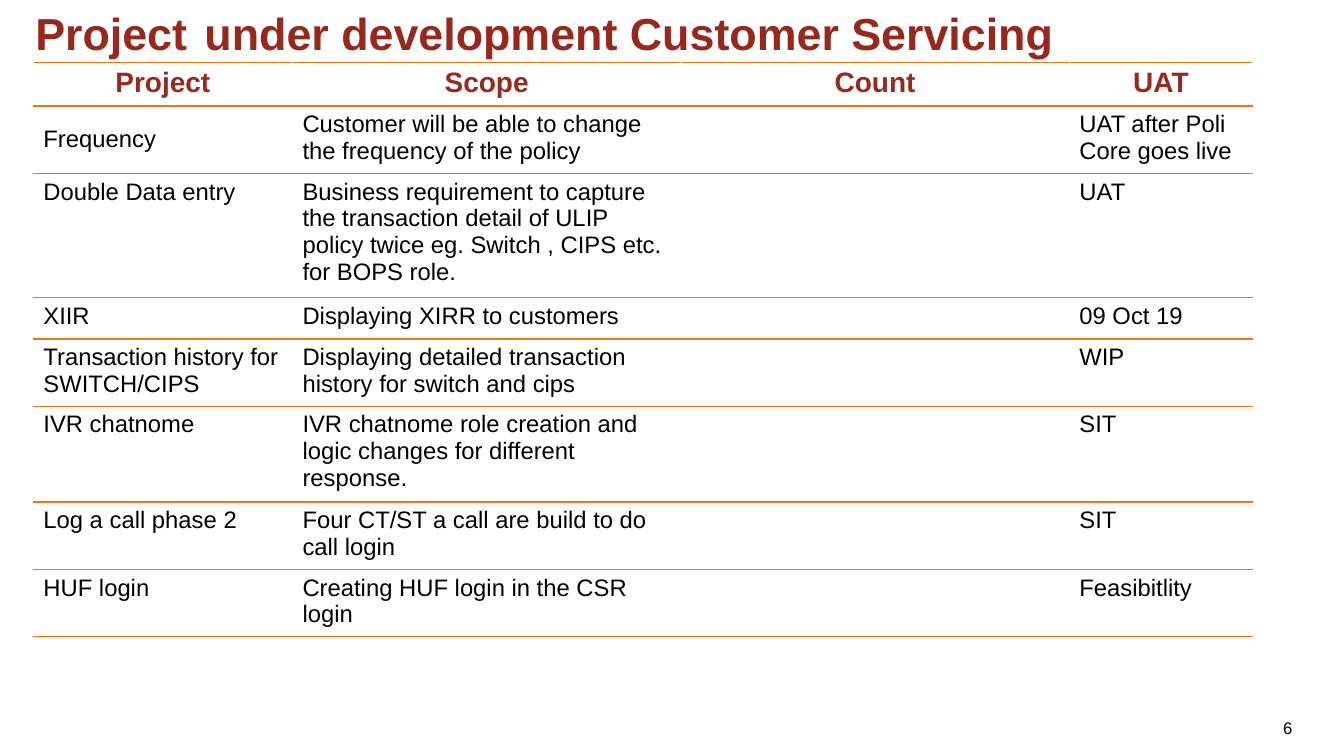
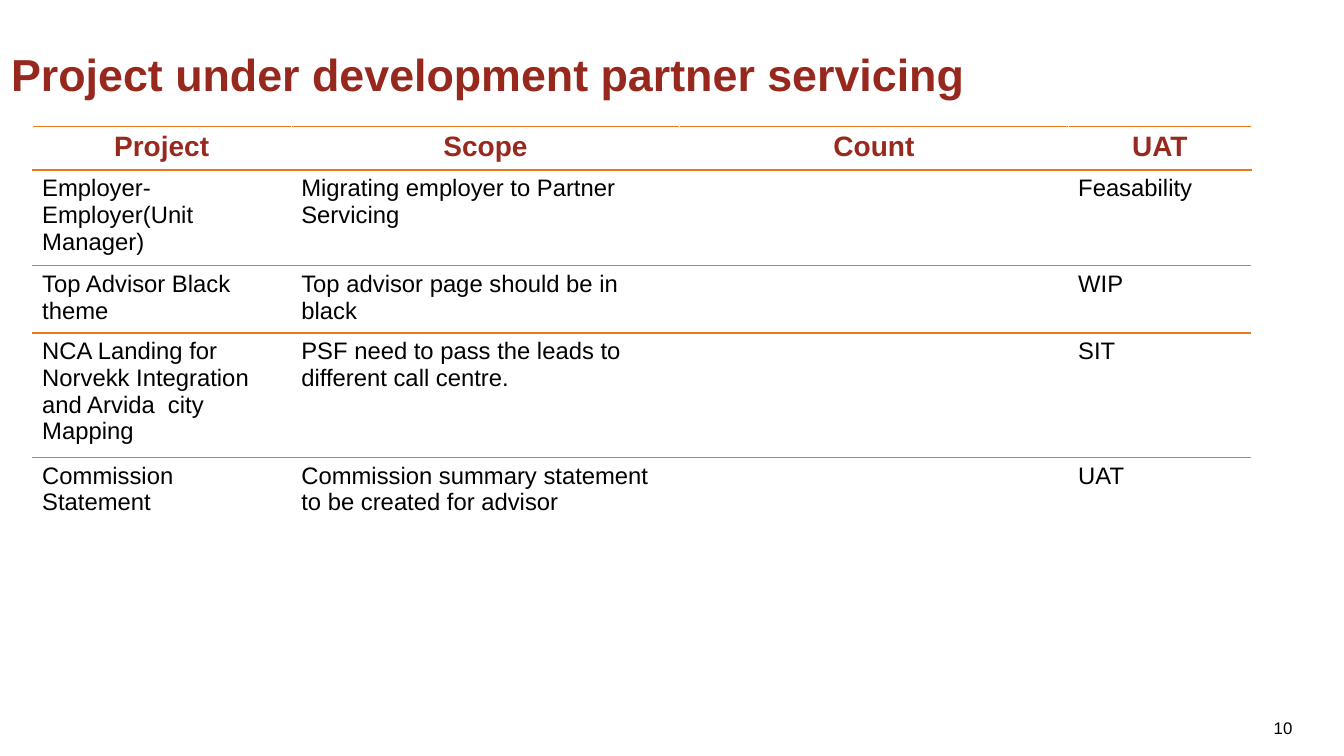
from lxml import etree
from pptx import Presentation
from pptx import util as u
from pptx.dml import color
from pptx.enum import text as t
from pptx.oxml import ns

HUES = {"title": "97281D", "head": "97291E", "ink": "000000",
        "paper": "FFFFFF", "rule": "E77817"}
FONTS = {
    "title": {"name": "Arial", "size": u.Pt(32), "bold": True},
    "gap": {"name": "Arial", "size": u.Pt(44), "bold": False},
    "head": {"name": "Arial", "size": u.Pt(20), "bold": True},
    "body": {"name": "Arial", "size": u.Pt(17), "bold": False},
    "foot": {"name": "Arial", "size": u.Pt(12), "bold": False},
}
INKS = {"title": "title", "gap": "ink", "head": "head",
        "body": "ink", "foot": "ink"}
COLS = (6.53, 9.79, 9.79, 4.62)
HIGH = 1.04  # least row height; rows grow with their text
HEADS = ("Project", "Scope", "Count", "UAT")
PLAIN = "{2D5ABB26-0587-4C30-8999-92F81FD0307C}"  # no style, no grid


class Deck:
    def __init__(self):
        self.prs = Presentation()
        self.prs.slide_width = u.Cm(33.87)
        self.prs.slide_height = u.Cm(19.05)
        self.slide = None

    def page(self, num):
        self.slide = self.prs.slides.add_slide(self.prs.slide_layouts[6])
        para = self.box(31.12, 17.83, 1.7, 1.02, t.MSO_ANCHOR.MIDDLE)
        para.alignment = t.PP_ALIGN.RIGHT
        self.run(para, str(num), "foot")

    def box(self, x, y, w, h, anchor, top=0.13):
        frame = self.slide.shapes.add_textbox(
            u.Cm(x), u.Cm(y), u.Cm(w), u.Cm(h)).text_frame
        form = {"word_wrap": True, "vertical_anchor": anchor,
                "margin_top": u.Cm(top)}
        for key, val in form.items():
            setattr(frame, key, val)
        return frame.paragraphs[0]

    def run(self, para, words, kind):
        run = para.add_run()
        run.text = words
        for key, val in FONTS[kind].items():
            setattr(run.font, key, val)
        run.font.color.rgb = color.RGBColor.from_string(HUES[INKS[kind]])

    def title(self, x, y, *parts):
        para = self.box(x, y, 27.71, 1.9, t.MSO_ANCHOR.TOP, 0.1)
        for words, kind in parts:
            self.run(para, words, kind)

    def edge(self, cell, side, hue):
        props = cell._tc.get_or_add_tcPr()
        line = etree.SubElement(props, ns.qn("a:ln" + side), w=str(u.Pt(1)))
        fill = etree.SubElement(line, ns.qn("a:solidFill"))
        etree.SubElement(fill, ns.qn("a:srgbClr"), val=HUES[hue])

    def cell(self, cell, words, kind, base):
        # Borders come before the fill
        if kind == "head":
            for side in "LR":
                self.edge(cell, side, "paper")
        self.edge(cell, "T", "rule")
        if base:
            self.edge(cell, "B", "rule")
        cell.fill.solid()
        cell.fill.fore_color.rgb = color.RGBColor.from_string(HUES["paper"])
        para = cell.text_frame.paragraphs[0]
        if kind == "head":
            para.alignment = t.PP_ALIGN.CENTER
        if words:
            self.run(para, words, kind)

    def table(self, x, y, rows, closed=True):
        """Each row: project, scope, UAT; closed draws the last rule."""
        lines = [("head", HEADS)]
        lines += [("body", (name, scope, "", uat))
                  for name, scope, uat in rows]
        grid = self.slide.shapes.add_table(
            len(lines), len(COLS), u.Cm(x), u.Cm(y),
            u.Cm(sum(COLS)), u.Cm(HIGH * len(lines))).table
        grid.horz_banding = False
        grid._tbl.tblPr.find(ns.qn("a:tableStyleId")).text = PLAIN
        for col, wide in zip(grid.columns, COLS):
            col.width = u.Cm(wide)
        for r, (kind, words) in enumerate(lines):
            base = closed or r < len(rows)
            for c, word in enumerate(words):
                self.cell(grid.cell(r, c), word, kind, base)
        return grid


def main():
    deck = Deck()

    # Customer servicing
    deck.page(6)
    deck.title(0.64, -0.39, ("Project", "title"), (" ", "gap"),
               ("under development Customer Servicing", "title"))
    grid = deck.table(0.84, 1.57, [
        ("Frequency",
         "Customer will be able to change the frequency of the policy",
         "UAT after Poli Core goes live"),
        ("Double Data entry",
         "Business requirement to capture the transaction detail of ULIP "
         "policy twice eg. Switch , CIPS etc. for BOPS role.", "UAT"),
        ("XIIR", "Displaying XIRR to customers", "09 Oct 19"),
        ("Transaction history for SWITCH/CIPS",
         "Displaying detailed transaction history for switch and cips", "WIP"),
        ("IVR chatnome",
         "IVR chatnome role creation and logic changes for different "
         "response.", "SIT"),
        ("Log a call phase 2",
         "Four CT/ST a call are build to do call login", "SIT"),
        ("HUF login", "Creating HUF login in the CSR login", "Feasibitlity"),
    ])
    grid.cell(1, 0).vertical_anchor = t.MSO_ANCHOR.MIDDLE

    # Partner servicing
    deck.page(10)
    deck.title(0.03, 1.07,
               ("Project under development partner servicing", "title"))
    deck.table(0.81, 3.18, [
        ("Employer-Employer(Unit Manager)",
         "Migrating employer to Partner Servicing", "Feasability"),
        ("Top Advisor Black theme",
         "Top advisor page should be in black", "WIP"),
        ("NCA Landing for Norvekk Integration and Arvida  city Mapping",
         "PSF need to pass the leads to different call centre.", "SIT"),
        ("Commission Statement",
         "Commission summary statement to be created for advisor", "UAT"),
    ], closed=False)

    deck.prs.save("out.pptx")


if __name__ == "__main__":
    main()
